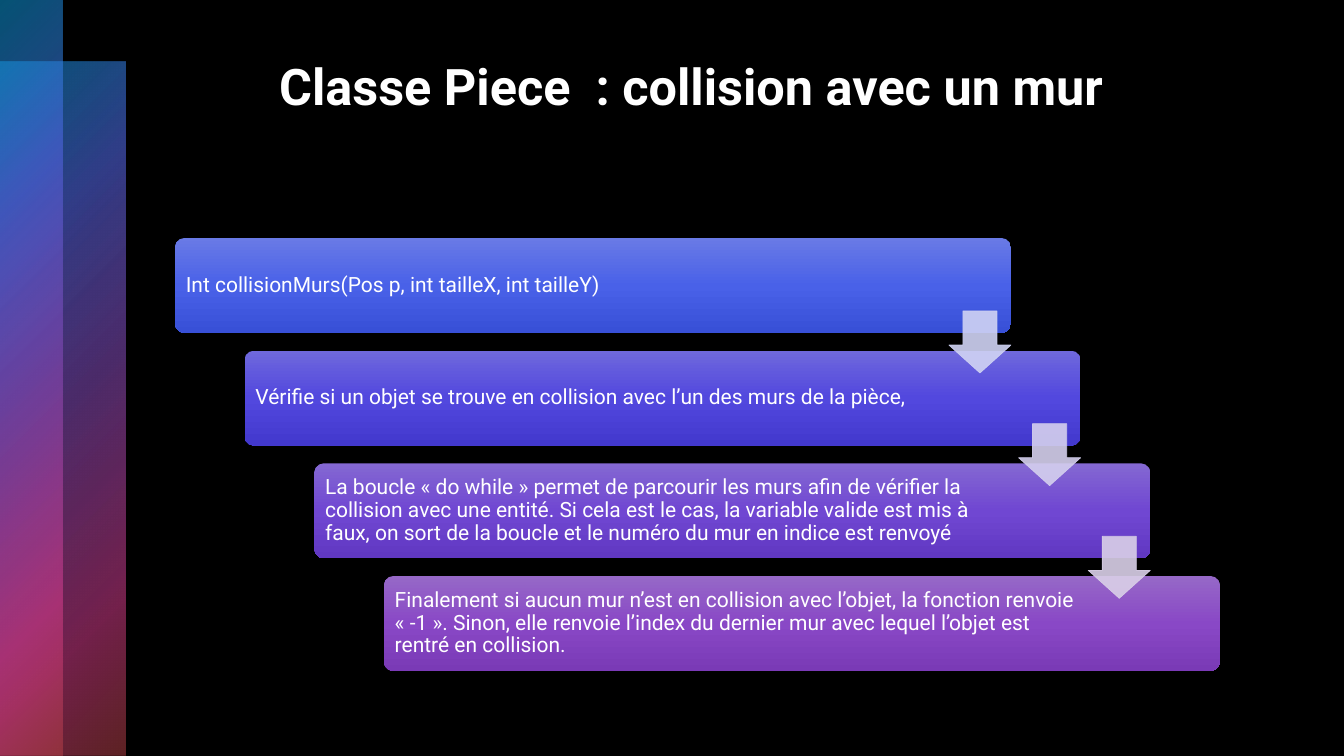
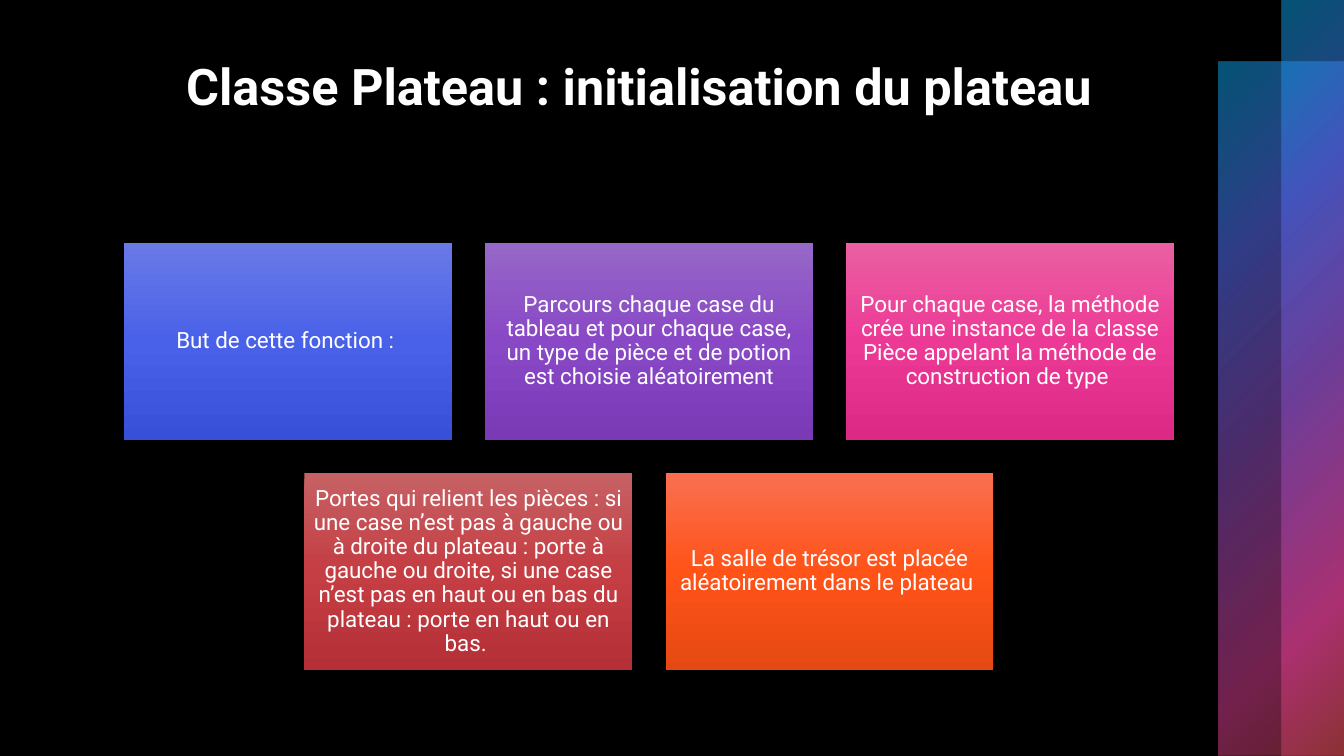
"""Build two slides on the classes of a game: a staircase of steps and a grid of cards."""
from lxml.etree import SubElement
from pptx import Presentation
from pptx.dml.color import RGBColor
from pptx.enum.shapes import MSO_SHAPE
from pptx.enum.text import MSO_ANCHOR, PP_ALIGN
from pptx.oxml.ns import qn
from pptx.util import Emu, Pt

SLIDE_WIDTH, SLIDE_HEIGHT = 1344, 756
SCALE = 12192000 / SLIDE_WIDTH
FONT = "Roboto"
BLACK = RGBColor(0x00, 0x00, 0x00)
WHITE = RGBColor(0xFF, 0xFF, 0xFF)

BAND_STOPS = [
    (0, RGBColor(0x0B, 0xA5, 0xE8), 50),
    (25, RGBColor(0x50, 0x66, 0xE1), 60),
    (50, RGBColor(0x89, 0x4E, 0xC0), 55),
    (81, RGBColor(0xE5, 0x41, 0x96), 50),
    (99, RGBColor(0xBE, 0x44, 0x49), 50),
]
BLUE = [RGBColor(0x69, 0x7A, 0xE6), RGBColor(0x49, 0x61, 0xE8), RGBColor(0x38, 0x50, 0xD7)]
INDIGO = [RGBColor(0x6F, 0x68, 0xDC), RGBColor(0x52, 0x48, 0xDE), RGBColor(0x42, 0x38, 0xCD)]
VIOLET = [RGBColor(0x84, 0x68, 0xD2), RGBColor(0x70, 0x47, 0xD2), RGBColor(0x61, 0x38, 0xC2)]
PURPLE = [RGBColor(0x96, 0x68, 0xC7), RGBColor(0x89, 0x48, 0xC6), RGBColor(0x7A, 0x3A, 0xB6)]
PINK = [RGBColor(0xEA, 0x60, 0xA2), RGBColor(0xED, 0x39, 0x96), RGBColor(0xDC, 0x29, 0x86)]
RED = [RGBColor(0xC6, 0x61, 0x64), RGBColor(0xC4, 0x3E, 0x43), RGBColor(0xB5, 0x30, 0x36)]
ORANGE = [RGBColor(0xF9, 0x6F, 0x51), RGBColor(0xFF, 0x53, 0x18), RGBColor(0xE5, 0x49, 0x13)]
ARROW_COLORS = [
    RGBColor(0xD0, 0xD3, 0xF4),
    RGBColor(0xD5, 0xD0, 0xEE),
    RGBColor(0xDA, 0xD0, 0xE8),
]

STEPS = [
    ("Int collisionMurs(Pos p, int tailleX, int tailleY)", BLUE),
    ("Vérifie si un objet se trouve en collision avec l’un des murs de la pièce,", INDIGO),
    ("La boucle « do while » permet de parcourir les murs afin de vérifier la collision "
     "avec une entité. Si cela est le cas, la variable valide est mis à faux, on sort de "
     "la boucle et le numéro du mur en indice est renvoyé", VIOLET),
    ("Finalement si aucun mur n’est en collision avec l’objet, la fonction renvoie « -1 ». "
     "Sinon, elle renvoie l’index du dernier mur avec lequel l’objet est rentré en "
     "collision.", PURPLE),
]
CARDS = [
    ("But de cette fonction : ", BLUE),
    ("Parcours chaque case du tableau et pour chaque case, un type de pièce et de potion "
     "est choisie aléatoirement", PURPLE),
    ("Pour chaque case, la méthode crée une instance de la classe Pièce appelant la "
     "méthode de construction de type ", PINK),
    ("Portes qui relient les pièces : si une case n’est pas à gauche ou à droite du "
     "plateau : porte à gauche ou droite, si une case n’est pas en haut ou en bas du "
     "plateau : porte en haut ou en bas. ", RED),
    ("La salle de trésor est placée aléatoirement dans le plateau ", ORANGE),
]


def px(length):
    """Turn pixels into EMU."""
    return Emu(round(length * SCALE))


def set_alpha(color_element, percent):
    """Make a colour element partly transparent."""
    SubElement(color_element, qn("a:alpha")).set("val", str(percent * 1000))


def add_plain_shape(slide, kind, left, top, width, height):
    """Add a shape without fill, line or shadow."""
    shape = slide.shapes.add_shape(kind, px(left), px(top), px(width), px(height))
    shape.shadow.inherit = False
    shape.fill.background()
    shape.line.fill.background()
    return shape


def set_gradient(shape, stops, radial=False):
    """Fill a shape from its top left corner, or from top to bottom."""
    properties = shape.fill._xPr
    empty_fill = properties.find(qn("a:noFill"))
    gradient = empty_fill.makeelement(qn("a:gradFill"), {"rotWithShape": "1"})
    stop_list = SubElement(gradient, qn("a:gsLst"))
    for position, color, alpha in stops:
        stop = SubElement(stop_list, qn("a:gs"), pos=str(position * 1000))
        set_alpha(SubElement(stop, qn("a:srgbClr"), val=str(color)), alpha)
    if radial:
        circle = SubElement(gradient, qn("a:path"), {"path": "circle"})
        SubElement(circle, qn("a:fillToRect"), r="100000", b="100000")
    else:
        SubElement(gradient, qn("a:lin"), ang="5400000", scaled="0")
    properties.replace(empty_fill, gradient)


def write_text(shape, text, size, alignment, bold=False, spacing=None, **frame_format):
    """Put one formatted paragraph into a shape."""
    frame = shape.text_frame
    frame.word_wrap = True
    for name, value in frame_format.items():
        setattr(frame, name, value)
    paragraph = frame.paragraphs[0]
    paragraph.alignment = alignment
    paragraph.line_spacing = spacing
    run = paragraph.add_run()
    run.text = text
    run.font.color.rgb = WHITE
    for name, value in {"name": FONT, "size": Pt(size), "bold": bold}.items():
        setattr(run.font, name, value)


def add_card(slide, kind, box, text, colors, size, alignment, inset, right_inset):
    """Add a card with a vertical gradient and its text."""
    card = add_plain_shape(slide, kind, *box)
    set_gradient(card, [(50 * index, color, 100) for index, color in enumerate(colors)])
    write_text(card, text, size, alignment, spacing=0.9,
               vertical_anchor=MSO_ANCHOR.MIDDLE, margin_left=px(inset),
               margin_top=px(inset), margin_bottom=px(inset), margin_right=px(right_inset))
    return card


def add_bands(slide, wide_left, narrow_left):
    """Add the two overlapping side bands."""
    for left, top, width in ((wide_left, 62, 126), (narrow_left, 0, 63)):
        band = add_plain_shape(slide, MSO_SHAPE.RECTANGLE, left, top, width, SLIDE_HEIGHT - top)
        set_gradient(band, BAND_STOPS, radial=True)


def add_base_slide(presentation, title, title_left, wide_left, narrow_left):
    """Add a black slide with side bands and a title."""
    slide = presentation.slides.add_slide(presentation.slide_layouts[6])
    slide.background.fill.solid()
    slide.background.fill.fore_color.rgb = BLACK
    add_bands(slide, wide_left, narrow_left)
    title_box = slide.shapes.add_textbox(px(title_left), px(50), px(1045), px(171))
    write_text(title_box, title, 36, PP_ALIGN.CENTER, bold=True)
    return slide


def add_arrow(slide, left, top, size, color):
    """Add a translucent arrow pointing down."""
    arrow = add_plain_shape(slide, MSO_SHAPE.DOWN_ARROW, left, top, size, size)
    arrow.adjustments[0], arrow.adjustments[1] = 0.55, 0.45
    arrow.line.width = Pt(0.5)
    for fill in (arrow.fill, arrow.line.fill):
        fill.solid()
        fill.fore_color.rgb = color
    for color_element in arrow.fill._xPr.iter(qn("a:srgbClr")):
        set_alpha(color_element, 90)


def add_staircase(slide, left, top, width, height):
    """Lay the steps out from the top left to the bottom right of a box."""
    card_width, card_height, arrow_size, arrow_drop = 836, 95, 62, 73
    step_x = (width - card_width) / (len(STEPS) - 1)
    step_y = (height - card_height) / (len(STEPS) - 1)
    corners = [(left + index * step_x, top + index * step_y) for index in range(len(STEPS))]
    for (x, y), (text, colors) in zip(corners, STEPS):
        card = add_card(slide, MSO_SHAPE.ROUNDED_RECTANGLE, (x, y, card_width, card_height),
                        text, colors, 15, PP_ALIGN.LEFT, 8, 141)
        card.adjustments[0] = 0.1
    for (x, y), color in zip(corners, ARROW_COLORS):
        add_arrow(slide, x + card_width - arrow_size, y + arrow_drop, arrow_size, color)


def add_card_grid(slide, left, top, width, height):
    """Lay the cards out in centred rows inside a box."""
    columns, gap = 3, 33
    rows = [CARDS[start:start + columns] for start in range(0, len(CARDS), columns)]
    card_width = (width - gap * (columns - 1)) / columns
    card_height = (height - gap * (len(rows) - 1)) / len(rows)
    for row_index, row in enumerate(rows):
        row_width = len(row) * (card_width + gap) - gap
        y = top + row_index * (card_height + gap)
        for column, (text, colors) in enumerate(row):
            x = left + (width - row_width) / 2 + column * (card_width + gap)
            add_card(slide, MSO_SHAPE.RECTANGLE, (x, y, card_width, card_height),
                     text, colors, 16, PP_ALIGN.CENTER, 7, 7)


def main():
    """Build and save the presentation."""
    presentation = Presentation()
    presentation.slide_width = px(SLIDE_WIDTH)
    presentation.slide_height = px(SLIDE_HEIGHT)
    collision = add_base_slide(presentation, "Classe Piece  : collision avec un mur ", 175, 0, 0)
    add_staircase(collision, 175, 238, 1045, 433)
    board = add_base_slide(
        presentation, "Classe Plateau : initialisation du plateau ", 123, 1218, 1282)
    add_card_grid(board, 124, 243, 1050, 427)
    presentation.save("out.pptx")


if __name__ == "__main__":
    main()
